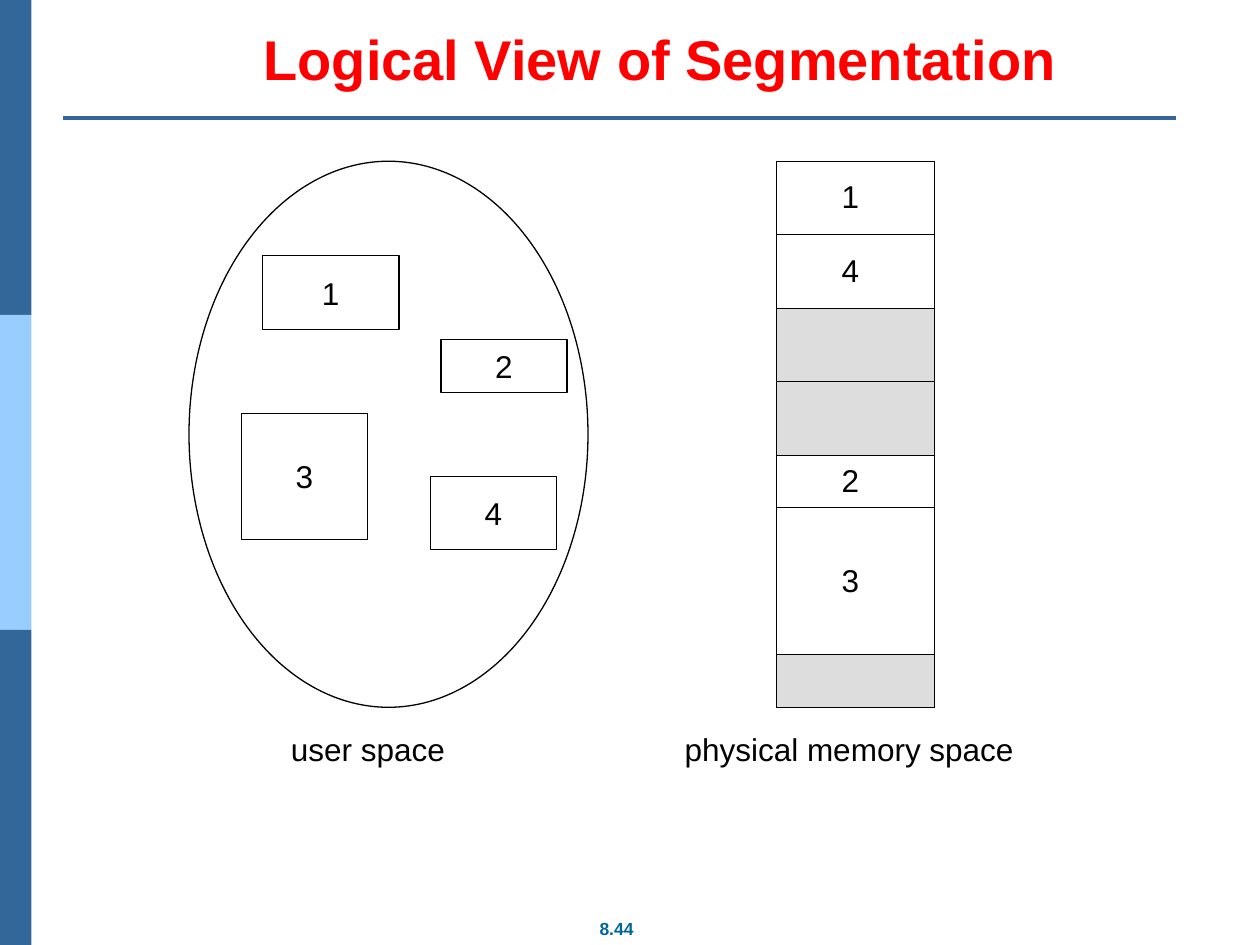
import pptx
import pptx.util
import pptx.dml.color
import pptx.enum.shapes
import pptx.enum.text
import pptx.oxml
import pptx.oxml.ns
import lxml.etree

colours = {"band": "336699", "light": "99CCFF", "title": "FF0000",
           "number": "006699", "ink": "000000", "free": "DDDDDD"}
rgb = {name: pptx.dml.color.RGBColor.from_string(code) for name, code in colours.items()}
shapes = pptx.enum.shapes.MSO_SHAPE
align = pptx.enum.text.PP_ALIGN
middle = pptx.enum.text.MSO_ANCHOR.MIDDLE
hairline = pptx.util.Pt(0.75)

deck = pptx.Presentation()
deck.slide_width = pptx.util.Inches(10)
deck.slide_height = pptx.util.Inches(7.5)
page = deck.slides.add_slide(deck.slide_layouts[6])
unit = deck.slide_width / 120


def grid(*cells):
    return [round(cell * unit) for cell in cells]


def write(frame, text, size=18, colour="ink", bold=False, alignment=align.LEFT):
    para = frame.paragraphs[0]
    para.alignment = alignment
    span = para.add_run()
    span.text = text
    font_values = {"name": "Arial", "size": pptx.util.Pt(size), "bold": bold}
    for key, value in font_values.items():
        setattr(span.font, key, value)
    span.font.color.rgb = rgb[colour]


for index, colour in enumerate(["band", "light", "band"]):
    band = page.shapes.add_shape(shapes.RECTANGLE, *grid(0, 30 * index, 3, 30))
    band.shadow.inherit = False
    band.fill.solid()
    band.fill.fore_color.rgb = rgb[colour]
    band.line.fill.background()

rule = page.shapes.add_connector(
    pptx.enum.shapes.MSO_CONNECTOR.STRAIGHT, *grid(6, 11.25, 112, 11.25))
rule.line.color.rgb = rgb["band"]
rule.line.width = pptx.util.Pt(2)
lxml.etree.SubElement(rule._element.spPr, pptx.oxml.ns.qn("a:effectLst"))

frame_values = {"margin_left": 0, "margin_top": 0, "margin_right": 0,
                "margin_bottom": 0, "vertical_anchor": middle, "word_wrap": False}

outlines = [
    (shapes.OVAL, (18, 15.36, 38, 52), ""),
    (shapes.RECTANGLE, (25, 24.36, 13, 7), "1"),
    (shapes.RECTANGLE, (42, 32.36, 12, 5), "2"),
    (shapes.RECTANGLE, (23, 39.36, 12, 12), "3"),
    (shapes.RECTANGLE, (41, 45.36, 12, 7), "4"),
]
for kind, place, text in outlines:
    segment = page.shapes.add_shape(kind, *grid(*place))
    segment.shadow.inherit = False
    segment.fill.background()
    segment.line.color.rgb = rgb["ink"]
    segment.line.width = hairline
    if text:
        for key, value in frame_values.items():
            setattr(segment.text_frame, key, value)
        write(segment.text_frame, text, alignment=align.CENTER)

memory_rows = [(7, "1"), (7, "4"), (7, ""), (7, ""), (5, "2"), (14, "3"), (5, "")]
total_rows = sum(height for height, text in memory_rows)
memory = page.shapes.add_table(
    len(memory_rows), 1, *grid(73.96, 15.36, 15, total_rows)).table
memory.first_row = False
memory.horz_banding = False
cell_values = {"margin_left": grid(6.2)[0], "margin_top": 0, "margin_right": 0,
               "margin_bottom": 0, "vertical_anchor": middle}
for index, (height, text) in enumerate(memory_rows):
    memory.rows[index].height = grid(height)[0]
    cell = memory.cell(index, 0)
    for key, value in cell_values.items():
        setattr(cell, key, value)
    if text:
        cell.fill.background()
        write(cell.text_frame, text)
    else:
        cell.fill.solid()
        cell.fill.fore_color.rgb = rgb["free"]
    properties = cell._tc.get_or_add_tcPr()
    for position, side in enumerate(["lnL", "lnR", "lnT", "lnB"]):
        properties.insert(position, pptx.oxml.parse_xml(
            f'<a:{side} {pptx.oxml.ns.nsdecls("a")} w="{hairline}"><a:solidFill>'
            f'<a:srgbClr val="{colours["ink"]}"/></a:solidFill></a:{side}>'))

labels = [
    ((25.1, 2.2, 75.8, 6.72), "Logical View of Segmentation", 32, "title", True),
    ((27.7, 69.36, 15, 4), "user space", 18, "ink", False),
    ((65.2, 69.36, 31.68, 4), "physical memory space", 18, "ink", False),
    ((57.1, 87.36, 3.84, 2.16), "8.44", 10, "number", True),
]
for place, text, size, colour, bold in labels:
    box = page.shapes.add_textbox(*grid(*place))
    for key, value in frame_values.items():
        setattr(box.text_frame, key, value)
    write(box.text_frame, text, size, colour, bold)

deck.save("out.pptx")
